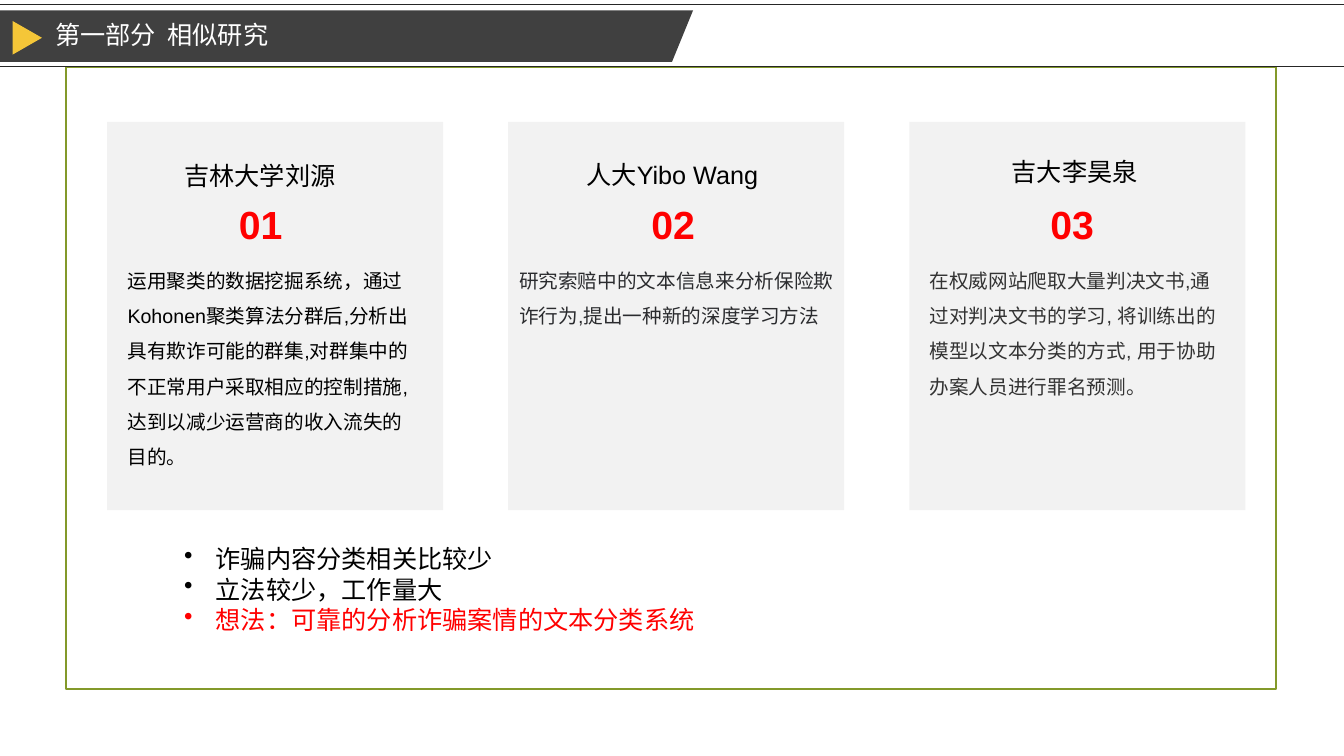
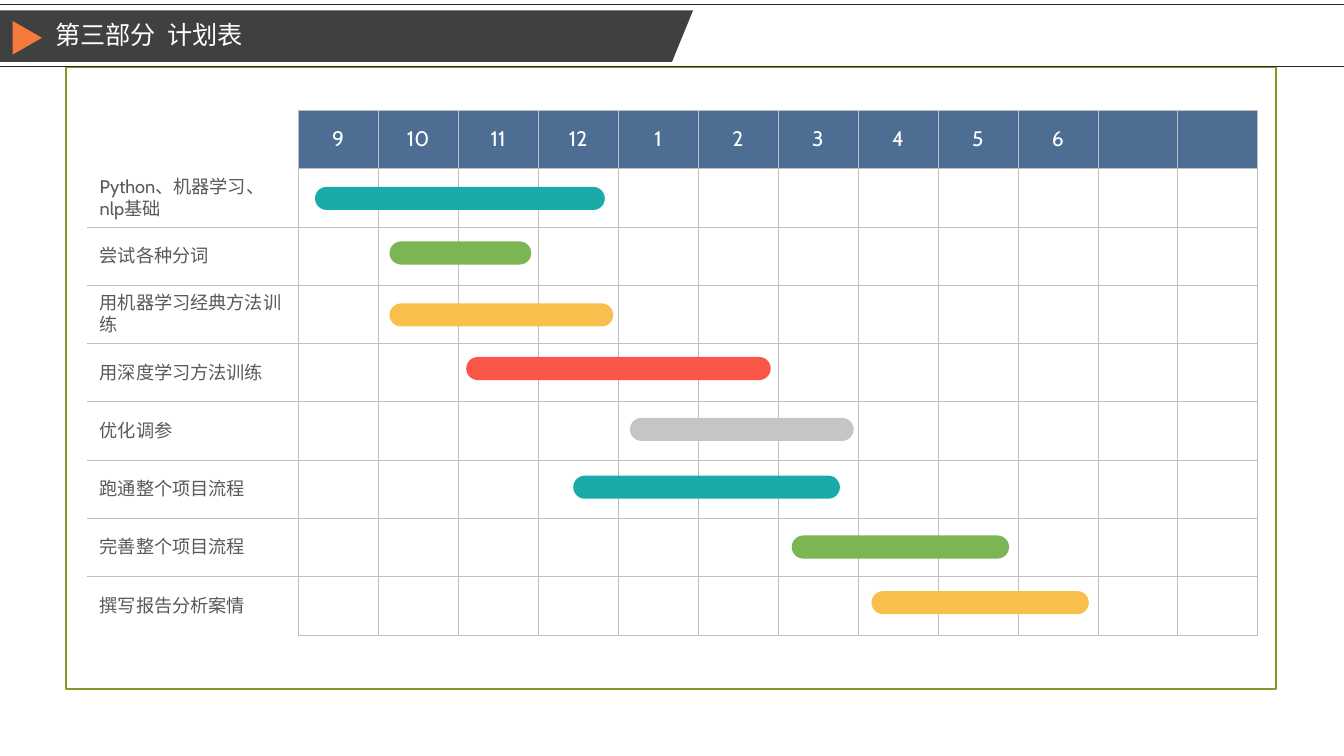
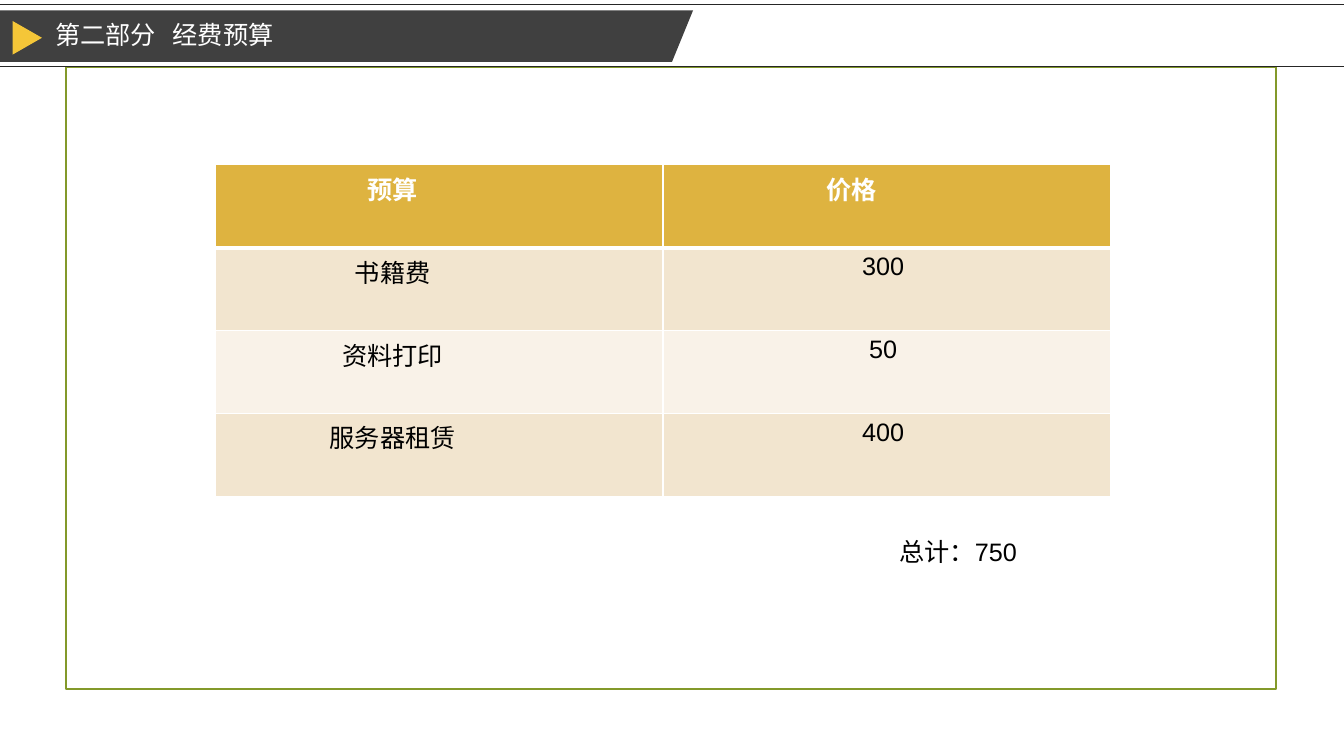
from lxml import etree
from pptx import Presentation
from pptx.dml.color import RGBColor
from pptx.enum import lang, shapes, text
from pptx.oxml.ns import qn
from pptx.util import Pt

SCALE = 9525
WIDTH, HEIGHT = 1280, 720
ARIAL, CABIN, NOTO = "Arial", "Cabin", "Noto Sans CJK SC"

WHITE = RGBColor(0xFF, 0xFF, 0xFF)
BLACK = RGBColor(0, 0, 0)
RED = RGBColor(0xFF, 0, 0)
OLIVE = RGBColor(0x83, 0x99, 0x2A)
RULE = RGBColor(0x26, 0x26, 0x26)
BAND = RGBColor(0x40, 0x40, 0x40)
GOLD = RGBColor(0xF5, 0xC6, 0x38)
ORANGE = RGBColor(0xF6, 0x7A, 0x3A)
CARD = RGBColor(0x80, 0x80, 0x80)
CHARCOAL = RGBColor(0x2A, 0x2B, 0x2E)
DARK_GREY = RGBColor(0x33, 0x33, 0x33)
LABEL = RGBColor(0x59, 0x59, 0x59)
GRID = RGBColor(0xBF, 0xBF, 0xBF)
MONTH = RGBColor(0x4D, 0x6D, 0x92)
BUDGET_HEAD = RGBColor(0xDE, 0xB3, 0x40)
BUDGET_ROWS = [RGBColor(0xF9, 0xF2, 0xE8), RGBColor(0xF2, 0xE5, 0xCF)]
BAR_COLORS = [
    RGBColor(0x1B, 0xAA, 0xAA),
    RGBColor(0x7C, 0xB5, 0x54),
    RGBColor(0xF8, 0xBF, 0x4D),
    RGBColor(0xF9, 0x56, 0x48),
    RGBColor(0xC5, 0xC5, 0xC5),
]

CARDS = [
    (("吉林大学刘源", 166, 148), ("01", 218),
     ("运用聚类的数据挖掘系统，通过Kohonen聚类算法分群后,分析出具有欺诈可能的群集,"
      "对群集中的不正常用户采取相应的控制措施,达到以减少运营商的收入流失的目的。", 112, 291, BLACK)),
    (("人大Yibo Wang", 549, 147), ("02", 611),
     ("研究索赔中的文本信息来分析保险欺诈行为,提出一种新的深度学习方法", 485, 335, CHARCOAL)),
    (("吉大李昊泉", 954, 144), ("03", 991),
     ("在权威网站爬取大量判决文书,通过对判决文书的学习, 将训练出的模型以文本分类的方式, "
      "用于协助办案人员进行罪名预测。", 876, 300, DARK_GREY)),
]
FINDINGS = [
    ("诈骗内容分类相关比较少", BLACK),
    ("立法较少，工作量大", BLACK),
    ("想法：可靠的分析诈骗案情的文本分类系统", RED),
]
MONTHS = ["9", "10", "11", "12", "1", "2", "3", "4", "5", "6", "", ""]
TASKS = [
    ("Python、机器学习、nlp基础", 300, 178, 276),
    ("尝试各种分词", 371, 230, 135),
    ("用机器学习经典方法训练", 371, 289, 213),
    ("用深度学习方法训练", 444, 340, 290),
    ("优化调参", 600, 398, 213),
    ("跑通整个项目流程", 546, 453, 254),
    ("完善整个项目流程", 754, 510, 207),
    ("撰写报告分析案情", 830, 563, 207),
]
BUDGET = [("预算", "价格"), ("书籍费", "300"), ("资料打印", "50"), ("服务器租赁", "400")]


def px(*lengths):
    values = [length * SCALE for length in lengths]
    return values[0] if len(values) == 1 else values


def style(paragraph, size, color, latin=ARIAL, asian=ARIAL, bold=False):
    font = paragraph.font
    font.size = Pt(size)
    font.bold = bold
    font.name = latin
    font.color.rgb = color
    font.language_id = lang.MSO_LANGUAGE_ID.SIMPLIFIED_CHINESE
    defaults = paragraph._p.pPr.find(qn("a:defRPr"))
    etree.SubElement(defaults, qn("a:ea"), typeface=asian)
    return defaults


def add_text(slide, box, lines, size, bold=False, spacing=None):
    frame = slide.shapes.add_textbox(*px(*box)).text_frame
    frame.word_wrap = True
    for index, (words, color) in enumerate(lines):
        paragraph = frame.paragraphs[0] if index == 0 else frame.add_paragraph()
        paragraph.text = words
        style(paragraph, size, color, bold=bold)
        if spacing:
            paragraph.line_spacing = spacing
    return frame


def add_shape(slide, kind, box, fill=None):
    shape = slide.shapes.add_shape(kind, *px(*box))
    shape.shadow.inherit = False
    shape.line.fill.background()
    if fill is None:
        shape.fill.background()
    else:
        shape.fill.solid()
        shape.fill.fore_color.rgb = fill
    return shape


def add_rule(slide, top):
    rule = slide.shapes.add_connector(
        shapes.MSO_CONNECTOR.STRAIGHT, *px(0, top, WIDTH, top))
    rule.line.color.rgb = RULE
    rule.line.width = Pt(0.75)
    etree.SubElement(rule._element.spPr, qn("a:effectLst"))


def add_title(slide, part, topic, tab):
    paragraph = add_text(slide, (43, 14, 400, 38), [(f"{part}\t{topic}", WHITE)], 18).paragraphs[0]
    tabs = etree.Element(qn("a:tabLst"))
    etree.SubElement(tabs, qn("a:tab"), pos=str(px(tab)), algn="l")
    paragraph._p.pPr.find(qn("a:defRPr")).addprevious(tabs)


def add_slide(presentation, part, topic, marker_color, tab=107):
    slide = presentation.slides.add_slide(presentation.slide_layouts[6])
    frame = add_shape(slide, shapes.MSO_SHAPE.RECTANGLE, (63, 64, 1152, 592))
    frame.line.color.rgb = OLIVE
    frame.line.width = Pt(1.25)
    for top in (4, 63):
        add_rule(slide, top)
    builder = slide.shapes.build_freeform(0, 10, scale=SCALE)
    builder.add_line_segments([(660, 10), (640, 59), (0, 59)])
    band = builder.convert_to_shape()
    band.shadow.inherit = False
    band.fill.solid()
    band.fill.fore_color.rgb = BAND
    band.line.fill.background()
    add_title(slide, part, topic, tab)
    marker = add_shape(slide, shapes.MSO_SHAPE.ISOSCELES_TRIANGLE, (10, 22, 32, 28), marker_color)
    marker.rotation = 90
    return slide


def add_bullets(frame):
    for paragraph in frame.paragraphs:
        properties = paragraph._p.pPr
        properties.set("marL", str(px(30)))
        properties.set("indent", str(px(-30)))
        bullet = etree.Element(qn("a:buChar"), char="•")
        properties.find(qn("a:defRPr")).addprevious(bullet)


def set_borders(cell, color, widths):
    properties = cell._tc.get_or_add_tcPr()
    for side in "LRTB":
        if side not in widths:
            line = etree.SubElement(properties, qn(f"a:ln{side}"), w="0")
            etree.SubElement(line, qn("a:noFill"))
            continue
        line = etree.SubElement(properties, qn(f"a:ln{side}"), w=str(int(Pt(widths[side]))))
        fill = etree.SubElement(line, qn("a:solidFill"))
        etree.SubElement(fill, qn("a:srgbClr"), val=str(color))


def fill_cell(cell, color=None):
    if color is None:
        cell.fill.background()
    else:
        cell.fill.solid()
        cell.fill.fore_color.rgb = color


def write_cell(cell, words, size, color, align, **fonts):
    paragraph = cell.text_frame.paragraphs[0]
    paragraph.text = words
    paragraph.alignment = align
    style(paragraph, size, color, **fonts)


def add_table(slide, box, rows, columns):
    table = slide.shapes.add_table(rows, columns, *px(*box)).table
    table.first_row = False
    table.horz_banding = False
    for row in table.rows:
        row.height = px(box[3]) // rows
    return table


def build_research(presentation):
    slide = add_slide(presentation, "第一部分", "相似研究", GOLD)
    for index, (heading, number, body) in enumerate(CARDS):
        card = add_shape(slide, shapes.MSO_SHAPE.RECTANGLE,
                         (102 + 382 * index, 116, 320, 370), CARD)
        color = card._element.spPr.find(qn("a:solidFill"))[0]
        etree.SubElement(color, qn("a:alpha"), val="10000")
        words, left, top = heading
        add_text(slide, (left, top, 211, 38), [(words, BLACK)], 18)
        words, left = number
        add_text(slide, (left, 186, 82, 55), [(words, RED)], 28, bold=True)
        words, left, width, color = body
        add_text(slide, (left, 240, width, 210), [(words, color)], 14, spacing=1.5)
    add_bullets(add_text(slide, (166, 513, 948, 97), FINDINGS, 18))


def build_schedule(presentation):
    slide = add_slide(presentation, "第三部分", "计划表", ORANGE)
    rows, columns = len(TASKS) + 1, len(MONTHS) + 1
    table = add_table(slide, (83, 105, 1115, 500), rows, columns)
    table.columns[0].width = px(201)
    for column in range(1, columns):
        table.columns[column].width = px(914) // len(MONTHS)
    for row in range(rows):
        for column in range(columns):
            cell = table.cell(row, column)
            sides = "LRTB"
            if column == 0:
                sides = "R" + "T" * (row > 1) + "B" * (0 < row < rows - 1)
            set_borders(cell, GRID, dict.fromkeys(sides, 0.5))
            fill_cell(cell, MONTH if row == 0 and column else None)
            cell.vertical_anchor = text.MSO_ANCHOR.MIDDLE
            cell.margin_left = cell.margin_right = px(12)
            cell.margin_top = cell.margin_bottom = px(6)
    for column, month in enumerate(MONTHS, 1):
        if month:
            write_cell(table.cell(0, column), month, 15, WHITE, text.PP_ALIGN.CENTER,
                       latin=CABIN, asian=CABIN)
    for row, (task, left, top, width) in enumerate(TASKS, 1):
        write_cell(table.cell(row, 0), task, 13, LABEL, text.PP_ALIGN.LEFT,
                   latin=CABIN, asian=CABIN)
        bar = add_shape(slide, shapes.MSO_SHAPE.ROUNDED_RECTANGLE, (left, top, width, 22),
                        BAR_COLORS[(row - 1) % len(BAR_COLORS)])
        bar.adjustments[0] = 0.5


def build_budget(presentation):
    slide = add_slide(presentation, "第二部分", "经费预算", GOLD, tab=112)
    table = add_table(slide, (205, 157, 853, 316), len(BUDGET), 2)
    for row, entries in enumerate(BUDGET):
        header = row == 0
        for column, words in enumerate(entries):
            cell = table.cell(row, column)
            widths = dict(L=1, R=1, T=1, B=3) if header else dict(L=1, R=1, T=3 if row == 1 else 1, B=1)
            set_borders(cell, WHITE, widths)
            fill_cell(cell, BUDGET_HEAD if header else BUDGET_ROWS[row % 2])
            cell.margin_right = px(98 if column == 0 else 77 if header else 17)
            write_cell(cell, words, 18, WHITE if header else BLACK, text.PP_ALIGN.CENTER,
                       asian=NOTO, bold=header)
    add_text(slide, (847, 506, 230, 38), [("总计：750", BLACK)], 18)


def main():
    presentation = Presentation()
    presentation.slide_width, presentation.slide_height = px(WIDTH, HEIGHT)
    build_research(presentation)
    build_schedule(presentation)
    build_budget(presentation)
    presentation.save("out.pptx")


if __name__ == "__main__":
    main()
